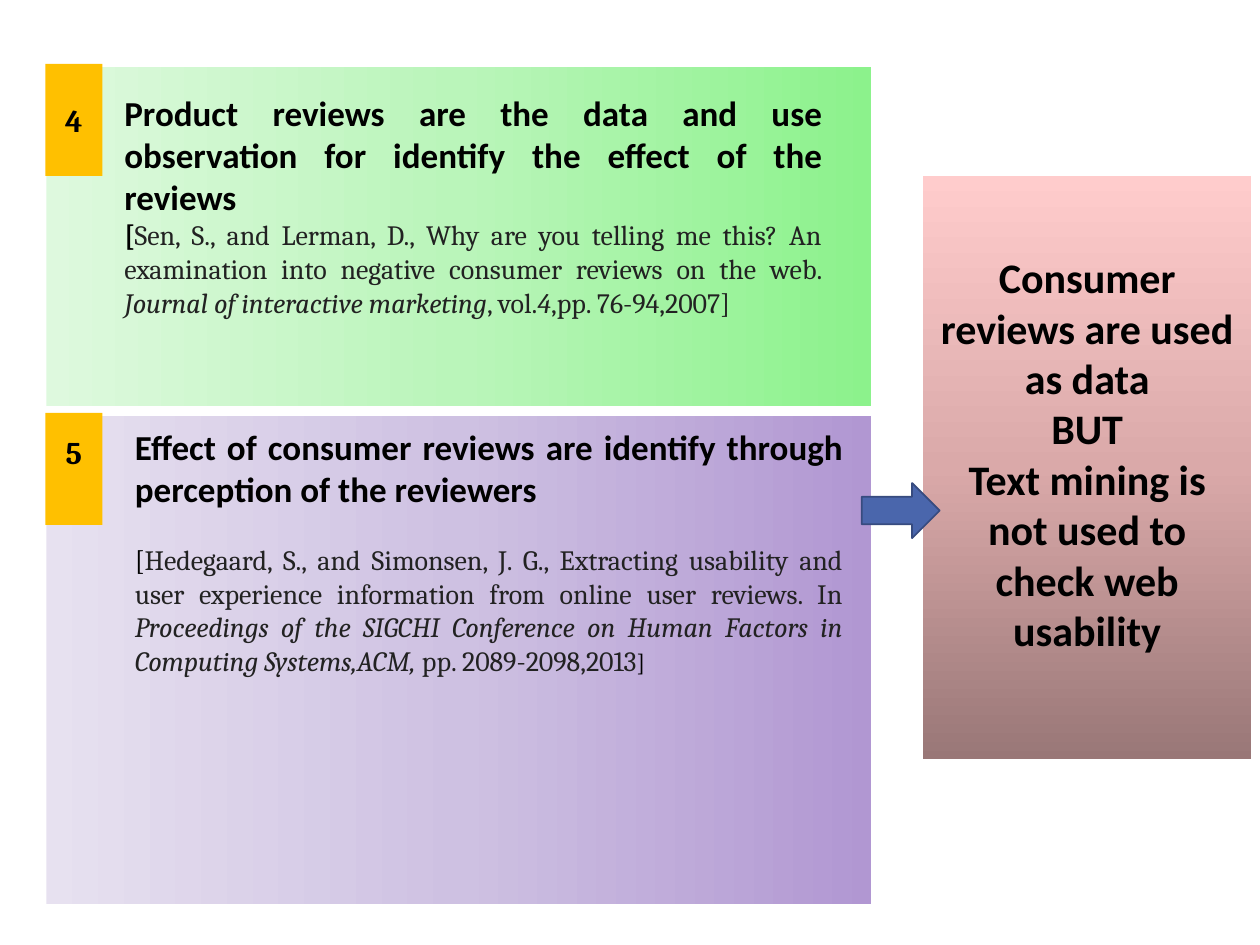
from copy import deepcopy

from pptx import Presentation
from pptx.dml.color import RGBColor
from pptx.enum.shapes import MSO_SHAPE
from pptx.enum.text import MSO_ANCHOR, PP_ALIGN
from pptx.oxml.ns import qn
from pptx.util import Pt

BLACK, GREY = "000000", "222222"
HEAD = ("Calibri", 20, BLACK, True, False)
OPEN = ("Cambria", 16, BLACK, True, False)
THIN = ("Cambria", 16, BLACK, False, False)
CITE = ("Cambria", 16, GREY, False, False)
ITAL = ("Cambria", 16, GREY, False, True)
LAST = ("Cambria", 14, BLACK, False, False)
BADGE = ("Cambria", 18, BLACK, True, False)
CLAIM = ("Calibri", 24, BLACK, True, False)


def color(code):
    return RGBColor.from_string(code)


def add_shape(slide, kind, box, fill=None, line=None):
    shape = slide.shapes.add_shape(kind, *map(Pt, box))
    shape.shadow.inherit = False
    if fill:
        shape.fill.solid()
        shape.fill.fore_color.rgb = color(fill)
    if line:
        shape.line.color.rgb = color(line)
        shape.line.width = Pt(1)
    else:
        shape.line.fill.background()
    return shape


def add_blend(slide, box, codes, angle):
    """Rectangle with an evenly spaced three-colour gradient."""
    shape = add_shape(slide, MSO_SHAPE.RECTANGLE, box)
    shape.fill.gradient()
    shape.fill.gradient_angle = angle
    stops = shape._element.spPr.find(qn("a:gradFill")).find(qn("a:gsLst"))
    stops.insert(1, deepcopy(stops[0]))
    for i, (stop, code) in enumerate(zip(shape.fill.gradient_stops, codes)):
        stop.position = i / 2
        stop.color.rgb = color(code)
    return shape


def write(frame, paras, align):
    """Fill a frame; each paragraph is a list of (text, style) runs."""
    frame.word_wrap = True
    for i, runs in enumerate(paras):
        para = frame.add_paragraph() if i else frame.paragraphs[0]
        para.alignment = align
        for text, style in runs:
            run = para.add_run()
            run.text = text
            font = run.font
            font.name, size, code, font.bold, font.italic = style
            font.size = Pt(size)
            font.color.rgb = color(code)


def add_text(slide, box, paras, align):
    frame = slide.shapes.add_textbox(*map(Pt, box)).text_frame
    write(frame, paras, align)
    return frame


def add_card(slide, top, height, codes, mark, drop, box, paras, gap):
    """Gradient panel with a numbered badge, a heading and its citation."""
    add_blend(slide, (26.5, top, 471.5, height), codes, 0)
    add_shape(slide, MSO_SHAPE.RECTANGLE, (26, top - 2, 32.5, 64), "FFC000")
    add_text(slide, (28.5, top + drop, 27.5, 29), [[(mark, BADGE)]],
             PP_ALIGN.CENTER)
    frame = add_text(slide, box, paras, PP_ALIGN.JUSTIFY)
    frame.paragraphs[1].space_before = Pt(gap)


def main():
    prs = Presentation()
    prs.slide_width, prs.slide_height = Pt(720), Pt(540)
    slide = prs.slides.add_slide(prs.slide_layouts[6])

    # Reviewed studies
    add_card(
        slide, 38.5, 193.5, ("DEF9DE", "BAF5BA", "8CF28C"), "4", 15.5,
        (64, 49, 413, 138),
        [[("Product reviews are the data and use observation for identify "
           "the effect of the reviews", HEAD)],
         [("[", OPEN),
          ("Sen, S., and Lerman, D., Why are you telling me this? An "
           "examination into negative consumer reviews on the web. ", CITE),
          ("Journal of interactive marketing", ITAL),
          (", vol.", CITE), ("4", ITAL), (",pp. 76-94,2007]", CITE)]], 0)
    add_card(
        slide, 238, 278.5, ("E7E1F0", "CEC1E2", "B197D2"), "5", 6,
        (70, 239.5, 419, 172),
        [[("Effect of consumer reviews are identify through perception of "
           "the reviewers", HEAD)],
         [("[", THIN),
          ("Hedegaard, S., and Simonsen, J. G., Extracting usability and "
           "user experience information from online user reviews. In ", CITE),
          ("Proceedings of the SIGCHI Conference on Human Factors in "
           "Computing Systems,ACM,", ITAL),
          (" pp. 2089-2098,2013", CITE), ("]", LAST)]], 19)

    # Research gap
    claim = add_blend(slide, (527.5, 100.5, 187.5, 333.5),
                      ("FFCCCC", "DAA9A9", "997777"), 270)
    frame = claim.text_frame
    frame.vertical_anchor = MSO_ANCHOR.MIDDLE
    frame.margin_bottom = Pt(20)
    lines = ("Consumer reviews are used as data", "BUT",
             "Text mining is not used to check web usability")
    write(frame, [[(line, CLAIM)] for line in lines], PP_ALIGN.CENTER)

    # Arrow from the studies to the gap
    add_shape(slide, MSO_SHAPE.RIGHT_ARROW, (492.5, 276, 44.5, 31.5),
              "4A66AC", "374B7F")

    prs.save("out.pptx")


if __name__ == "__main__":
    main()
